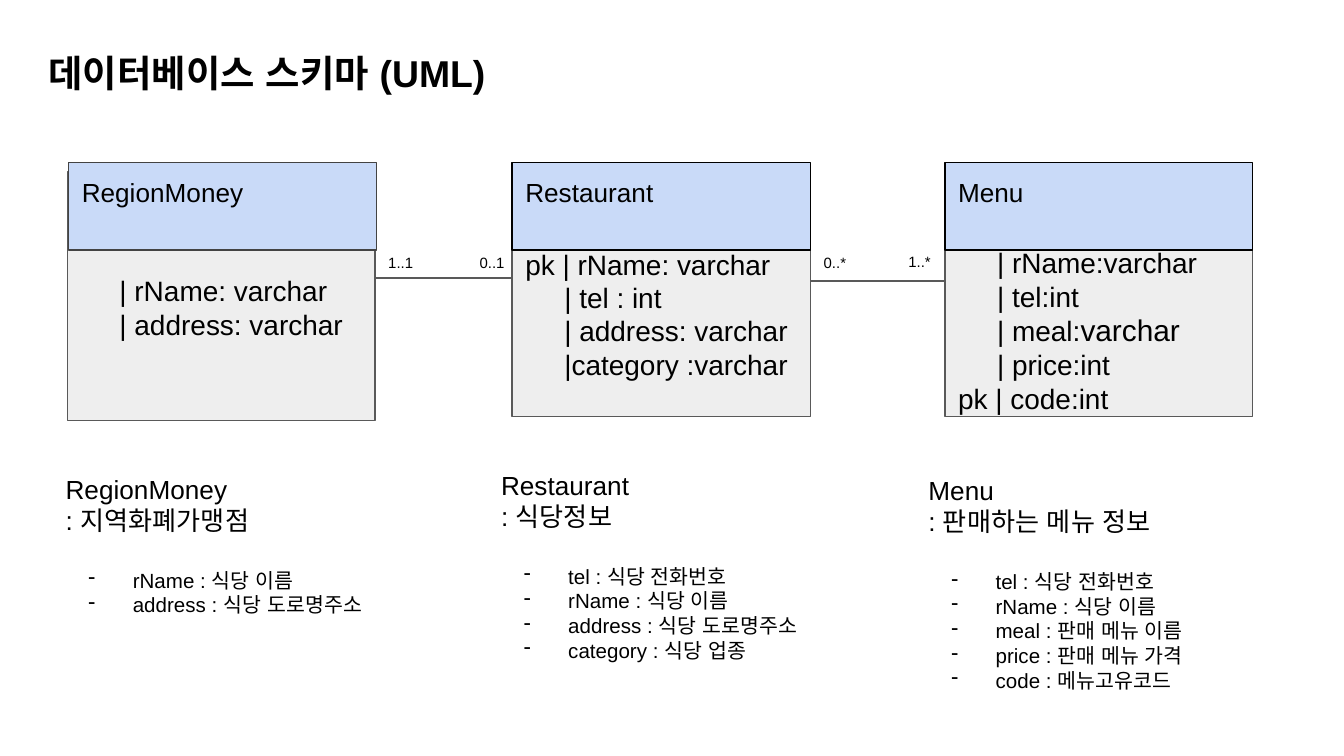
from dataclasses import dataclass

import pptx
import pptx.dml.color
import pptx.enum.shapes
import pptx.enum.text
import pptx.util
from lxml import etree
from pptx.dml.color import RGBColor
from pptx.oxml.ns import qn
from pptx.util import Inches, Pt

BLACK = RGBColor(0x00, 0x00, 0x00)
WHITE = RGBColor(0xFF, 0xFF, 0xFF)
HEADER_BLUE = RGBColor(0xC9, 0xDA, 0xF8)
BODY_GRAY = RGBColor(0xEE, 0xEE, 0xEE)
LINE_GRAY = RGBColor(0x59, 0x59, 0x59)
DARK_GRAY = RGBColor(0x43, 0x43, 0x43)
FONT = "Arial"
INSET = 0.1
KEY = "pk "
HEADER_TOP, HEADER_HEIGHT, BODY_HEIGHT = 1.21, 0.65, 1.85
NOTE_WIDTH = 2.57


@dataclass
class Entity:
    name: str
    meaning: str
    left: float
    width: float
    body_left: float
    body_top: float
    fields_top: float
    header_line: RGBColor
    fields: list[str]
    note_left: float
    note_top: float
    note_height: float
    notes: list[str]


@dataclass
class Multiplicity:
    text: str
    left: float
    top: float = 1.79


ENTITIES = [
    Entity("RegionMoney", "지역화폐가맹점", 0.51, 2.29, 0.5, 1.28, 2.04, DARK_GRAY,
           ["| rName: varchar", "| address: varchar"],
           0.39, 3.42, 1.32,
           ["rName : 식당 이름", "address : 식당 도로명주소"]),
    Entity("Restaurant", "식당정보", 3.81, 2.22, 3.81, 1.25, 1.84, BLACK,
           ["pk | rName: varchar", "| tel : int", "| address: varchar",
            "|category :varchar"],
           3.63, 3.39, 1.74,
           ["tel : 식당 전화번호", "rName : 식당 이름",
            "address : 식당 도로명주소", "category : 식당 업종"]),
    Entity("Menu", "판매하는 메뉴 정보", 7.03, 2.29, 7.03, 1.25, 1.83, BLACK,
           ["| rName:varchar", "| tel:int", "| meal:varchar", "| price:int",
            "pk | code:int"],
           6.81, 3.43, 1.74,
           ["tel : 식당 전화번호", "rName : 식당 이름", "meal : 판매 메뉴 이름",
            "price : 판매 메뉴 가격", "code : 메뉴고유코드"]),
]
MULTIPLICITIES = [Multiplicity("0..1", 3.47), Multiplicity("1..1", 2.79),
                  Multiplicity("0..*", 6.03), Multiplicity("1..*", 6.66, 1.78)]
RELATIONS = [(2.68, 3.96, 2.07), (6.03, 7.18, 2.09)]


def prepare_frame(box, top_inset: float = INSET):
    frame = box.text_frame
    frame.word_wrap = True
    frame.auto_size = pptx.enum.text.MSO_AUTO_SIZE.NONE
    frame.vertical_anchor = pptx.enum.text.MSO_ANCHOR.TOP
    frame.margin_left = frame.margin_right = frame.margin_bottom = Inches(INSET)
    frame.margin_top = Inches(top_inset)
    return frame


def write_lines(frame, lines: list[str], size: float, bold: bool = False) -> list:
    """Fill an empty frame, one paragraph per line."""
    paras = []
    for index, line in enumerate(lines):
        para = frame.paragraphs[0] if index == 0 else frame.add_paragraph()
        para.text = line
        para.alignment = pptx.enum.text.PP_ALIGN.LEFT
        style(para.font, size, bold)
        paras.append(para)
    return paras


def style(font, size: float, bold: bool = False) -> None:
    font.name = FONT
    font.size = Pt(size)
    font.bold = bold
    font.color.rgb = BLACK
    # Korean text and its spaces follow the East Asian font
    etree.SubElement(font._rPr, qn("a:ea")).set("typeface", FONT)


def paint(shape, fill: RGBColor, line: RGBColor) -> None:
    shape.fill.solid()
    shape.fill.fore_color.rgb = fill
    shape.line.color.rgb = line
    shape.line.width = Pt(0.75)


def add_panel(page, left: float, top: float, width: float, height: float,
              fill: RGBColor, line: RGBColor):
    panel = page.shapes.add_shape(
        pptx.enum.shapes.MSO_SHAPE.RECTANGLE,
        Inches(left), Inches(top), Inches(width), Inches(height))
    panel.shadow.inherit = False
    paint(panel, fill, line)
    return panel


def add_text(page, left: float, top: float, width: float, height: float):
    box = page.shapes.add_textbox(
        Inches(left), Inches(top), Inches(width), Inches(height))
    return prepare_frame(box)


def add_relation(page, start: float, end: float, y: float) -> None:
    line = page.shapes.add_connector(
        pptx.enum.shapes.MSO_CONNECTOR.STRAIGHT,
        Inches(start), Inches(y), Inches(end), Inches(y))
    line.line.color.rgb = LINE_GRAY
    line.line.width = Pt(0.75)
    etree.SubElement(line._element.spPr, qn("a:effectLst"))


def indent(para, left: float, first: float = 0) -> None:
    properties = para._p.get_or_add_pPr()
    properties.set("marL", str(Inches(left)))
    properties.set("indent", str(Inches(first)))


def add_entity(page, entity: Entity) -> None:
    # Field list below the header
    body = add_panel(page, entity.body_left, entity.body_top, entity.width,
                     BODY_HEIGHT, BODY_GRAY, LINE_GRAY)
    frame = prepare_frame(body, entity.fields_top - entity.body_top)
    for para in write_lines(frame, entity.fields, 15):
        para.line_spacing = Pt(17.9)
        if not para.text.startswith(KEY):
            indent(para, 0.29)
        if "meal:" in para.text:
            para.line_spacing = Pt(18.9)
            span = para.runs[0]
            span.text = "| meal:"
            larger = para.add_run()
            larger.text = "varchar"
            larger.font.size = Pt(16)

    # Header with the entity name
    header = add_panel(page, entity.left, HEADER_TOP, entity.width,
                       HEADER_HEIGHT, HEADER_BLUE, entity.header_line)
    write_lines(prepare_frame(header), [entity.name], 14)


def add_notes(page, entity: Entity) -> None:
    frame = add_text(page, entity.note_left, entity.note_top,
                     NOTE_WIDTH, entity.note_height)
    write_lines(frame, [entity.name, f": {entity.meaning}"], 14)
    for index, note in enumerate(entity.notes):
        para = frame.add_paragraph()
        para.text = note
        if index == 0:
            para.space_before = Pt(17)
        indent(para, 0.5, -0.33)
        bullet = etree.SubElement(para._p.get_or_add_pPr(), qn("a:buChar"))
        bullet.set("char", "-")
        # The bullet takes its size from the first span
        style(para.runs[0].font, 11)


def main() -> None:
    deck = pptx.Presentation()
    deck.slide_width = Inches(10)
    deck.slide_height = deck.slide_width * 9 // 16
    page = deck.slides.add_slide(deck.slide_layouts[5])

    # Title
    title = page.shapes.title
    title.left, title.top = Inches(0.26), Inches(0.27)
    title.width, title.height = Inches(4.16), Inches(0.58)
    paint(title, WHITE, WHITE)
    write_lines(prepare_frame(title), ["데이터베이스 스키마 (UML)"], 20, bold=True)

    # Schema diagram
    for start, end, y in RELATIONS:
        add_relation(page, start, end, y)
    for entity in ENTITIES:
        add_entity(page, entity)

    # Explanations and multiplicities
    for entity in ENTITIES:
        add_notes(page, entity)
    for label in MULTIPLICITIES:
        frame = add_text(page, label.left, label.top, 0.39, 0.29)
        write_lines(frame, [label.text], 8)

    deck.save("out.pptx")


if __name__ == "__main__":
    main()
